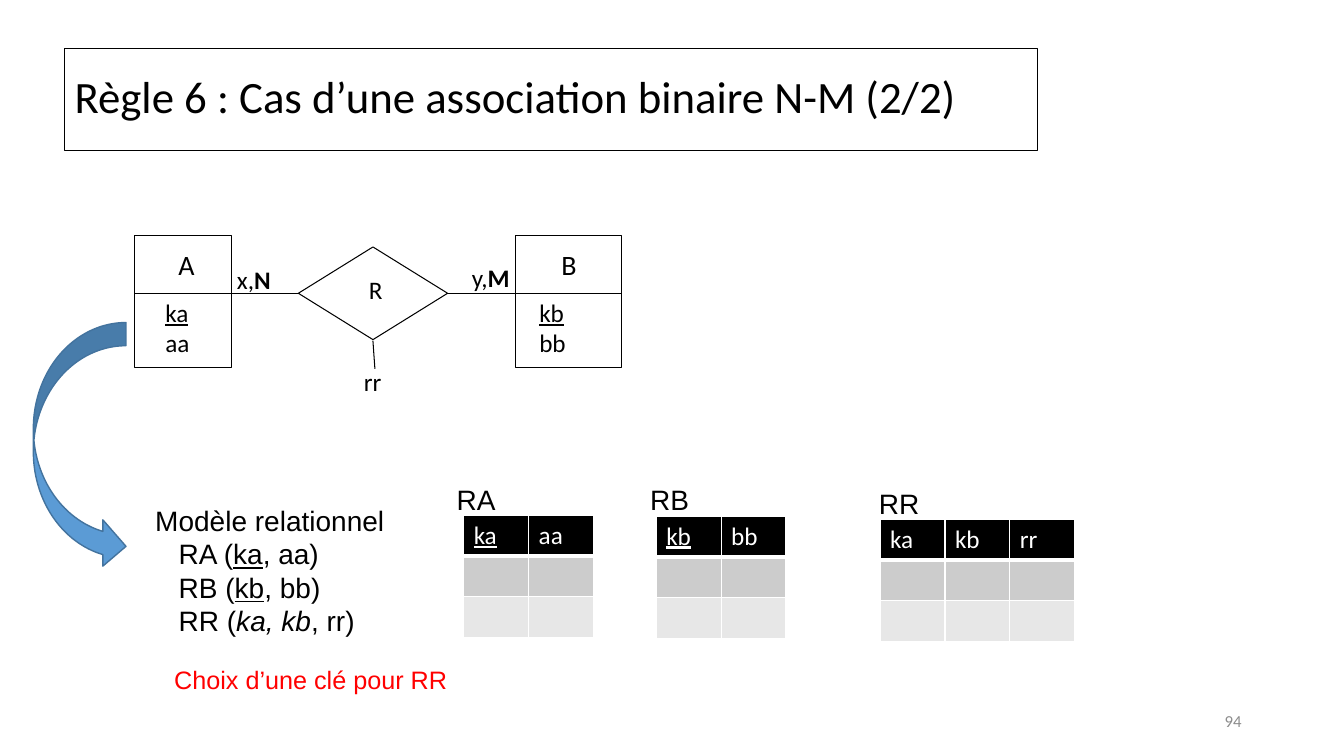
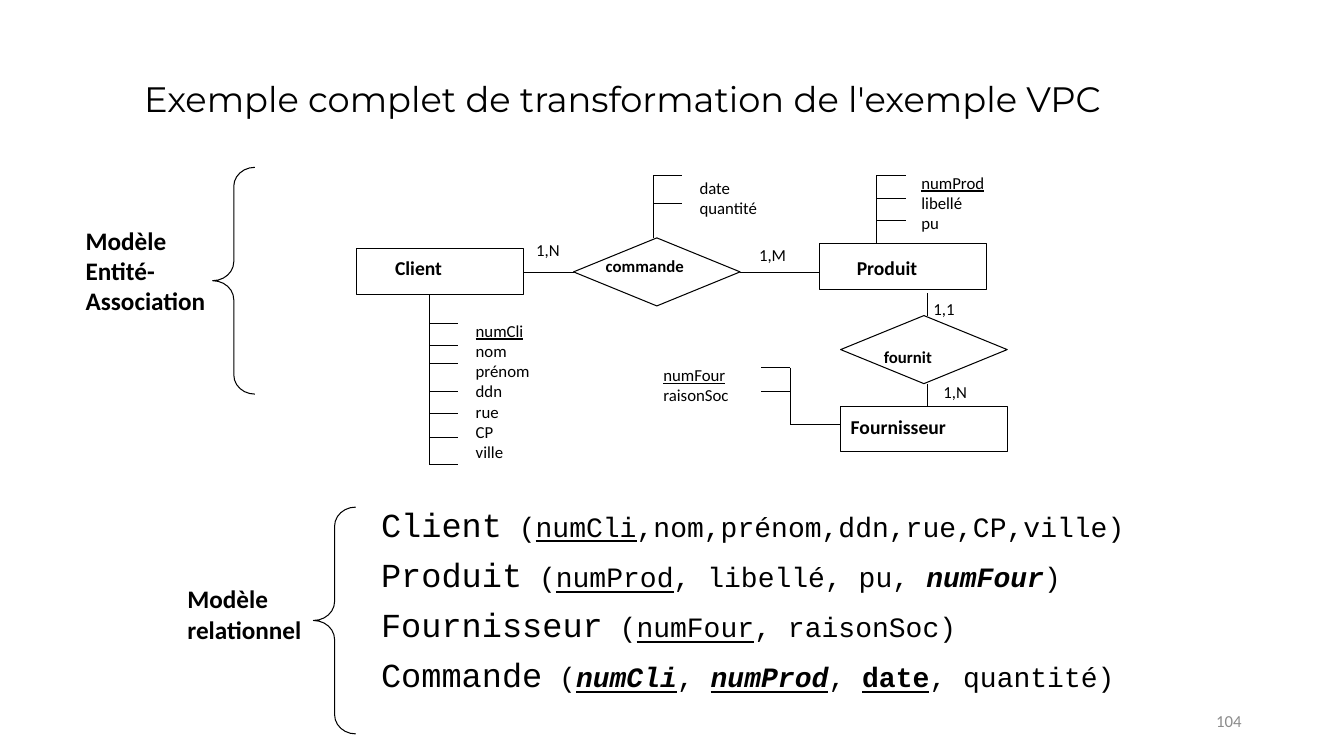
from dataclasses import dataclass

from lxml.etree import SubElement
from pptx import Presentation
from pptx.dml.color import RGBColor
from pptx.enum.shapes import MSO_CONNECTOR, MSO_SHAPE
from pptx.enum.text import MSO_ANCHOR, MSO_AUTO_SIZE, PP_ALIGN
from pptx.oxml.ns import qn
from pptx.util import Pt


@dataclass(frozen=True)
class Theme:
    ink: str = "000000"
    paper: str = "FFFFFF"
    muted: str = "8C8C8C"
    alert: str = "FF0000"
    arrow: str = "5B9BD5"
    arrow_edge: str = "43739E"
    rows: tuple = ("000000", "CCCCCC", "E7E7E7")
    body: str = "Calibri"
    plain: str = "Arial"
    code: str = "Courier New"
    display: str = "Montserrat"
    small: float = 12
    name: float = 14
    label: float = 18
    heading: float = 20
    relation: float = 24
    line: float = 0.75


THEME = Theme()

# Content: a paragraph is a string or a list of runs; a run is a string
# or (text, flags, size), with flags among b, i and u.
# Positions are in points.
RULE = dict(
    number="94",
    title="Règle 6 : Cas d’une association binaire N-M (2/2)",
    entities=[  # name, attributes, left, width, name x, attributes x
        ("A", [[("ka", "u")], "aa"], 95.8, 69.8, 127.4, 118.1),
        ("B", [[("kb", "u")], "bb"], 367.9, 76.3, 401, 385.2),
    ],
    labels=[
        (["R"], 263.5, 195.8),
        ([["x,", ("N", "b")]], 169.2, 188.6),
        ([["y,", ("M", "b")]], 337, 187.2),
        (["rr"], 259.9, 261.4),
    ],
    links=[(165.6, 209.5, 213.1, 209.5), (319.7, 209.5, 367.9, 209.5),
           (266.4, 243.4, 267.8, 263.5)],
    model="Modèle relationnel",
    relations=[
        ["RA (", ("ka", "u"), ", aa)"],
        ["RB (", ("kb", "u"), ", bb)"],
        ["RR (", ("ka, kb", "i"), ", rr)"],
    ],
    tables=[  # name, name position, header, table position
        ("RA", (326.2, 344.9), [("ka", "u"), "aa"], (331.2, 367.9)),
        ("RB", (464.4, 344.9), [("kb", "u"), "bb"], (468.7, 368.6)),
        ("RR", (627.8, 347.8), ["ka", "kb", "rr"], (628.6, 370.8)),
    ],
    question="Choix d’une clé pour RR",
)

EXAMPLE = dict(
    number="104",
    title="Exemple complet de transformation de l'exemple VPC",
    entities=[  # name, box position, name position
        ("Client", (254.9, 177.8), (282.2, 182.9)),
        ("Produit", (585.4, 174.2), (612, 182.9)),
        ("Fournisseur", (600.5, 290.2), (607.7, 296.6)),
    ],
    associations=[
        ("commande", (409.7, 169.9), (432.7, 182.9)),
        ("fournit", (600.5, 225.4), (631.4, 247.7)),
    ],
    links=[(373.7, 194.4, 409.7, 194.4), (528.5, 194.4, 585.4, 194.4),
           (662.4, 209.5, 662.4, 225.4), (662.4, 274.3, 662.4, 290.2),
           (564.5, 303.1, 600.5, 303.1)],
    cardinalities=[("1,N", 383, 171.4), ("1,M", 542.2, 175),
                   ("1,1", 666.7, 213.1), ("1,N", 673.9, 272.9)],
    attributes=[  # names, text position, stem x, stem start, tick length, tick ys
        ([[("numCli", "u")], "nom", "prénom", "ddn", "rue", "CP", "ville"],
         (339.8, 229), 306.7, 210.2, 20.5,
         [231.1, 247, 259.9, 279.4, 295.2, 312.5, 331.9]),
        ([[("numProd", "u")], "libellé", "pu"],
         (658.1, 123.1), 626.4, 174.2, 20.5, [157.7, 141.8, 125.3]),
        (["date", "quantité"],
         (499.7, 126.7), 466.6, 169.9, 20.5, [145.4, 125.3]),
        ([[("numFour", "u")], "raisonSoc"],
         (473.8, 260.6), 564.5, 303.1, -20.9, [279.4, 262.8]),
    ],
    models=[  # lines, text position, brace position
        (["Modèle", "Entité-", "Association"], (61.2, 160.6), (151.9, 119.5)),
        (["Modèle", "relationnel"], (133.9, 416.9), (223.9, 362.2)),
    ],
    relations=[
        ("Client", [("numCli", "u"), ",nom,prénom,ddn,rue,CP,ville)"]),
        ("Produit", [("numProd", "u"), ", libellé, pu, ", ("numFour", "bi"), ")"]),
        ("Fournisseur", [("numFour", "u"), ", raisonSoc)"]),
        ("Commande", [("numCli", "biu"), ", ", ("numProd", "biu"), ", ",
                      ("date", "bu"), ", quantité)"]),
    ],
)


# Shared drawing helpers
def color(value):
    return RGBColor.from_string(value)


def write(frame, paragraphs, size=THEME.label, font=THEME.body, ink=THEME.ink,
          bold=False, align=PP_ALIGN.LEFT, spacing=None, gap=0):
    """Fill a text frame with formatted paragraphs."""
    for index, runs in enumerate(paragraphs):
        paragraph = frame.paragraphs[0] if index == 0 else frame.add_paragraph()
        paragraph.alignment = align
        paragraph.space_before = Pt(gap if index else 0)
        if spacing:
            paragraph.line_spacing = spacing
        for item in [runs] if isinstance(runs, str) else runs:
            text, flags, own_size = ((item,) if isinstance(item, str) else item) \
                + (("", size) if isinstance(item, str) else (size,) * (3 - len(item)))
            run = paragraph.add_run()
            run.text = text
            run.font.name = font
            run.font.size = Pt(own_size)
            run.font.color.rgb = color(ink)
            run.font.bold = bold or "b" in flags
            run.font.italic = "i" in flags
            run.font.underline = "u" in flags


def add_text(slide, paragraphs, left, top, width=200, height=None,
             anchor=MSO_ANCHOR.TOP, **style):
    if height is None:
        height = 1.22 * style.get("size", THEME.label) * len(paragraphs)
    box = slide.shapes.add_textbox(Pt(left), Pt(top), Pt(width), Pt(height))
    frame = box.text_frame
    frame.word_wrap = True
    frame.vertical_anchor = anchor
    frame.margin_left = frame.margin_right = 0
    frame.margin_top = frame.margin_bottom = 0
    write(frame, paragraphs, **style)
    return box


def add_outline(slide, kind, left, top, width, height, fill=None,
                edge=THEME.ink, weight=THEME.line):
    shape = slide.shapes.add_shape(kind, Pt(left), Pt(top), Pt(width), Pt(height))
    shape.shadow.inherit = False
    if fill:
        shape.fill.solid()
        shape.fill.fore_color.rgb = color(fill)
    else:
        shape.fill.background()
    shape.line.color.rgb = color(edge)
    shape.line.width = Pt(weight)
    return shape


def add_line(slide, x1, y1, x2, y2, weight=THEME.line):
    line = slide.shapes.add_connector(MSO_CONNECTOR.STRAIGHT,
                                      Pt(x1), Pt(y1), Pt(x2), Pt(y2))
    line.line.color.rgb = color(THEME.ink)
    line.line.width = Pt(weight)
    SubElement(line._element.spPr, qn("a:effectLst"))


def set_borders(cell, bottom):
    properties = cell._tc.get_or_add_tcPr()
    for side, weight in (("L", 1), ("R", 1), ("T", 1), ("B", bottom)):
        border = SubElement(properties, qn(f"a:ln{side}"), w=str(Pt(weight)))
        fill = SubElement(border, qn("a:solidFill"))
        SubElement(fill, qn("a:srgbClr"), val=THEME.paper)


def add_relation_table(slide, header, left, top, column=46.4, row=29.2):
    count = len(header)
    table = slide.shapes.add_table(
        len(THEME.rows), count, Pt(left), Pt(top),
        Pt(column * count), Pt(row * len(THEME.rows))).table
    for c in range(count):
        table.columns[c].width = Pt(column)
    for r, fill in enumerate(THEME.rows):
        table.rows[r].height = Pt(row)
        for c in range(count):
            cell = table.cell(r, c)
            set_borders(cell, bottom=1 if r else 3)
            cell.fill.solid()
            cell.fill.fore_color.rgb = color(fill)
            if r == 0:
                write(cell.text_frame, [[header[c]]], ink=THEME.paper)


def start_slide(deck, content, left, top, width, height, **style):
    """Add a slide with its title and page number."""
    slide = deck.slides.add_slide(deck.slide_layouts[5])
    title = slide.shapes.title
    title.left, title.top = Pt(left), Pt(top)
    title.width, title.height = Pt(width), Pt(height)
    title.text_frame.word_wrap = True
    title.text_frame.auto_size = MSO_AUTO_SIZE.NONE
    title.text_frame.vertical_anchor = MSO_ANCHOR.MIDDLE
    write(title.text_frame, [content["title"]], spacing=0.9, **style)
    add_text(slide, [content["number"]], 671, 500.4, 216, 28.8,
             anchor=MSO_ANCHOR.MIDDLE, size=THEME.small, ink=THEME.muted,
             align=PP_ALIGN.RIGHT)
    return slide


def build_rule(deck):
    slide = start_slide(deck, RULE, 46.1, 34.6, 694.8, 72.7, size=32)
    slide.shapes.title.line.color.rgb = color(THEME.ink)
    slide.shapes.title.line.width = Pt(THEME.line)

    # Entity-association diagram
    add_outline(slide, MSO_SHAPE.DIAMOND, 213.1, 176.4, 106.6, 66.2)
    for name, attributes, left, width, name_x, attributes_x in RULE["entities"]:
        add_outline(slide, MSO_SHAPE.RECTANGLE, left, 168.5, width, 94.3)
        add_line(slide, left, 209.5, left + width, 209.5, weight=0.5)
        add_text(slide, [name], name_x, 177.1, 30, size=THEME.heading)
        add_text(slide, attributes, attributes_x, 212.4, 40)
    for link in RULE["links"]:
        add_line(slide, *link)
    for label, left, top in RULE["labels"]:
        add_text(slide, label, left, top, 40)
    add_outline(slide, MSO_SHAPE.CURVED_RIGHT_ARROW, 23.8, 230.4, 66.2, 176.4,
                fill=THEME.arrow, edge=THEME.arrow_edge, weight=1)

    # Relational model
    model = add_text(slide, [RULE["model"], *RULE["relations"]], 110.9, 359.3,
                     size=THEME.heading, font=THEME.plain)
    for paragraph in model.text_frame.paragraphs[1:]:
        paragraph._p.get_or_add_pPr().set("marL", str(Pt(16.7)))
    for name, name_at, header, table_at in RULE["tables"]:
        add_text(slide, [name], *name_at, 50, size=THEME.heading, font=THEME.plain)
        add_relation_table(slide, header, *table_at)
    add_text(slide, [RULE["question"]], 124.4, 474.5, 260,
             font=THEME.plain, ink=THEME.alert)


def build_example(deck):
    slide = start_slide(deck, EXAMPLE, 95.8, 38.9, 769.7, 66.2,
                        size=25.2, font=THEME.display)

    # Entities and associations
    for group, kind, height, size in (
            ("entities", MSO_SHAPE.RECTANGLE, 32.4, THEME.name),
            ("associations", MSO_SHAPE.DIAMOND, 48.6, THEME.small)):
        for name, box_at, name_at in EXAMPLE[group]:
            add_outline(slide, kind, *box_at, 119, height)
            add_text(slide, [name], *name_at, 100, size=size, bold=True)
    for link in EXAMPLE["links"]:
        add_line(slide, *link)
    for cardinality, left, top in EXAMPLE["cardinalities"]:
        add_text(slide, [cardinality], left, top, 30, size=THEME.small)

    # Attributes hanging from a stem
    for names, text_at, stem, start, tick, heights in EXAMPLE["attributes"]:
        add_line(slide, stem, start, stem, heights[-1])
        for y in heights:
            add_line(slide, stem, y, stem + tick, y)
        add_text(slide, names, *text_at, 70, size=THEME.small)

    # Models with their braces
    for lines, text_at, brace_at in EXAMPLE["models"]:
        add_text(slide, lines, *text_at, 100, bold=True)
        brace = add_outline(slide, MSO_SHAPE.LEFT_BRACE, *brace_at, 30.2, 162)
        brace.adjustments[0] = 0.45
    relations = [[(name, "", THEME.relation), " (", *columns]
                 for name, columns in EXAMPLE["relations"]]
    add_text(slide, relations, 272.2, 362.9, 560, 160, size=THEME.heading,
             font=THEME.code, spacing=0.9, gap=10)


def main():
    deck = Presentation()
    deck.slide_width, deck.slide_height = Pt(960), Pt(540)
    build_rule(deck)
    build_example(deck)
    deck.save("out.pptx")


if __name__ == "__main__":
    main()
